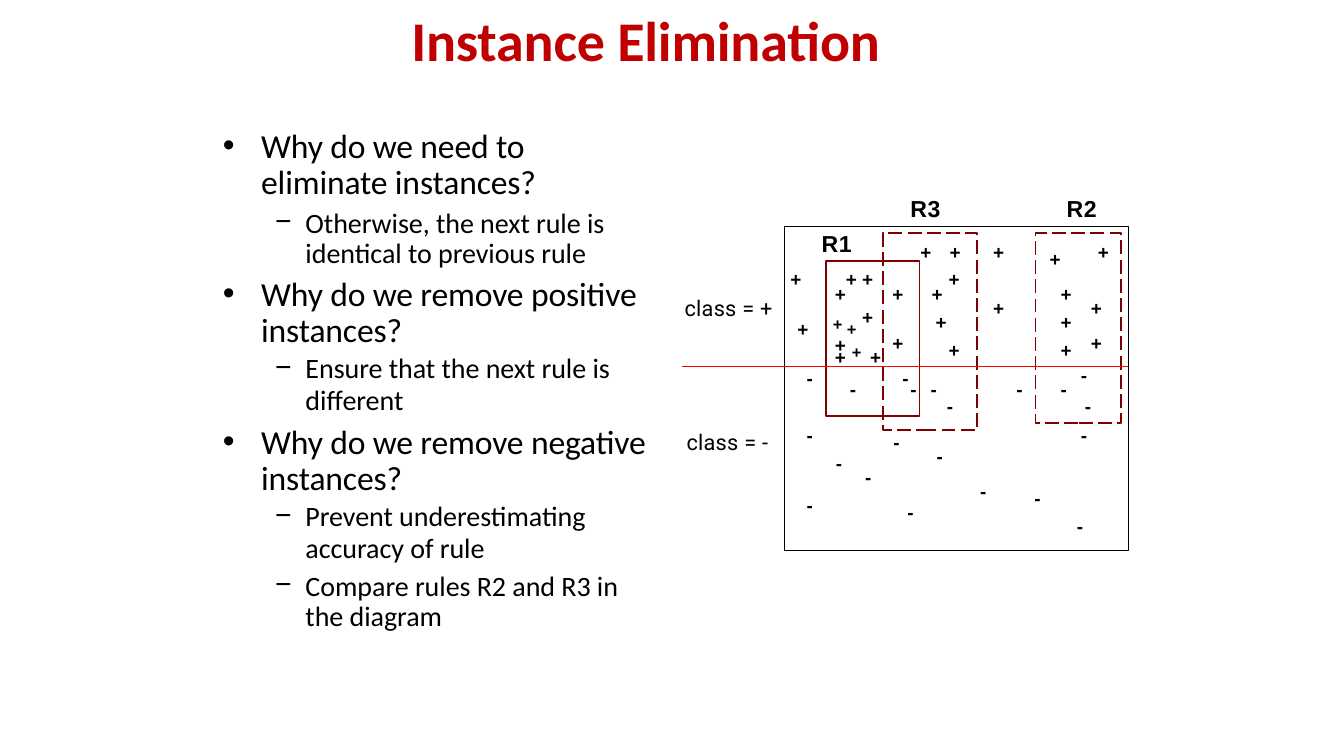
from typing import NamedTuple

from lxml.etree import SubElement
from pptx import Presentation
from pptx.dml.color import RGBColor
from pptx.enum.dml import MSO_LINE
from pptx.enum.shapes import MSO_CONNECTOR, MSO_SHAPE
from pptx.oxml.ns import qn
from pptx.util import Inches, Pt

BLACK, TITLE_RED, RULE_RED, BORDER_RED = "000000", "C00000", "800000", "FF0000"


class Format(NamedTuple):
    font: str
    size: float
    bold: bool = False
    color: str = BLACK
    spacing: float = 0


class Label(NamedTuple):
    text: str
    left: float
    top: float
    width: float
    height: float
    fmt: Format


class Box(NamedTuple):
    left: float
    top: float
    width: float
    height: float
    color: str = RULE_RED
    line_width: float = 1.25
    dashed: bool = False


class Level(NamedTuple):
    bullet: str
    bullet_font: str
    indent: float
    hanging: float
    fmt: Format


class Point(NamedTuple):
    level: int
    lines: list[str]
    line_spacing: float
    space_before: float = 0


MARK = Format("Arial", 13.5, True, spacing=0.1)
SMALL_MARK = Format("Arial", 11.7, True, spacing=0.1)
RULE_NAME = Format("Arial", 16.5, True, spacing=0.4)
CLASS_NAME = Format("Roboto", 15.5, spacing=0.2)

LABELS = [
    Label("Instance Elimination", 4.08, 0.04, 5.06, 0.69,
          Format("Calibri", 40, True, TITLE_RED, -0.1)),
    Label("class = +", 6.79, 2.91, 0.92, 0.28, CLASS_NAME),
    Label("class = -", 6.81, 4.24, 0.86, 0.28, CLASS_NAME),
    Label("R1", 8.15, 2.27, 0.33, 0.3, RULE_NAME),
    Label("R3", 9.03, 1.92, 0.33, 0.3, RULE_NAME),
    Label("R2", 10.58, 1.92, 0.33, 0.3, RULE_NAME),
]

BOXES = [
    Box(7.78, 2.24, 3.41, 3.22, BLACK, 0.25),
    Box(8.19, 2.59, 0.93, 1.54),
    Box(10.27, 2.31, 0.85, 1.89, dashed=True),
    Box(8.76, 2.31, 0.93, 1.96, dashed=True),
]

LEVELS = [
    Level("•", "Arial", 0.39, 0.38, Format("Calibri", 24, spacing=-0.1)),
    Level("–", "Roboto", 0.83, 0.31, Format("Calibri", 20, spacing=-0.05)),
]

POINTS = [
    Point(0, ["Why do we need to", "eliminate instances?"], 25.9),
    Point(1, ["Otherwise, the next rule is", "identical to previous rule"], 21.6, 5),
    Point(0, ["Why do we remove positive", "instances?"], 25.9, 5.6),
    Point(1, ["Ensure that the next rule is", "different"], 22.8, 2.3),
    Point(0, ["Why do we remove negative", "instances?"], 25.9, 5.9),
    Point(1, ["Prevent underestimating", "accuracy of rule"], 22.8, 2.3),
    Point(1, ["Compare rules R2 and R3 in", "the diagram"], 21.6, 5.1),
]

# Left and top of each instance
POSITIVES = [
    (7.84, 2.65), (7.91, 3.14), (8.28, 2.79), (8.39, 2.65), (8.55, 2.65),
    (8.55, 3.02), (8.28, 3.3), (8.28, 3.42), (8.63, 3.42), (8.85, 2.79),
    (8.85, 3.28), (9.13, 2.38), (9.42, 2.38), (9.85, 2.38), (9.24, 2.79),
    (9.28, 3.07), (9.41, 2.65), (9.41, 3.35), (9.85, 2.93), (10.41, 2.45),
    (10.52, 2.79), (10.52, 3.07), (10.52, 3.35), (10.82, 2.93),
    (10.82, 3.28), (10.89, 2.38),
]
SMALL_POSITIVES = [(8.26, 3.11), (8.4, 3.16), (8.45, 3.38)]
NEGATIVES = [
    (8, 3.63), (8, 4.19), (8, 4.89), (8.43, 3.74), (8.29, 4.47), (8.58, 4.61),
    (8.86, 4.26), (8.95, 3.63), (9.03, 3.74), (9.23, 3.74), (9.39, 3.91),
    (9, 4.96), (9.29, 4.4), (9.72, 4.75), (10.08, 3.74), (10.26, 4.82),
    (10.52, 3.74), (10.72, 3.6), (10.76, 3.91), (10.72, 4.19), (10.68, 5.1),
]


def rgb(color: str) -> RGBColor:
    return RGBColor.from_string(color)


def add_text_frame(s, left, top, width, height, inset: float, wrap: bool):
    tf = s.shapes.add_textbox(*map(Inches, (left, top, width, height))).text_frame
    frame = {"margin_left": 0, "margin_right": 0, "margin_bottom": 0,
             "margin_top": Inches(inset), "word_wrap": wrap}
    for name, value in frame.items():
        setattr(tf, name, value)
    return tf


def add_run(p, text: str, fmt: Format) -> None:
    r = p.add_run()
    r.text = text
    for name, value in {"name": fmt.font, "size": Pt(fmt.size), "bold": fmt.bold}.items():
        setattr(r.font, name, value)
    r.font.color.rgb = rgb(fmt.color)
    r._r.get_or_add_rPr().set("spc", str(round(fmt.spacing * 100)))


def add_label(s, label: Label) -> None:
    tf = add_text_frame(s, *label[1:5], inset=0.01, wrap=False)
    add_run(tf.paragraphs[0], label.text, label.fmt)


def add_box(s, box: Box) -> None:
    sp = s.shapes.add_shape(MSO_SHAPE.RECTANGLE, *map(Inches, box[:4]))
    sp.shadow.inherit = False
    sp.fill.background()
    sp.line.color.rgb = rgb(box.color)
    sp.line.width = Pt(box.line_width)
    if box.dashed:
        sp.line.dash_style = MSO_LINE.LONG_DASH


def add_class_border(s) -> None:
    """Draw the line that parts the two classes."""
    y = Inches(3.64)
    border = s.shapes.add_connector(MSO_CONNECTOR.STRAIGHT, Inches(6.76), y, Inches(11.19), y)
    border.line.color.rgb = rgb(BORDER_RED)
    border.line.width = Pt(0.69)
    SubElement(border._element.spPr, qn("a:effectLst"))


def add_points(s, points: list[Point]) -> None:
    tf = add_text_frame(s, 2.2, 1.22, 4.25, 5.13, inset=0.06, wrap=True)
    for i, point in enumerate(points):
        p = tf.add_paragraph() if i else tf.paragraphs[0]
        level = LEVELS[point.level]
        p.level = point.level
        p.line_spacing = Pt(point.line_spacing)
        p.space_before = Pt(point.space_before)
        pPr = p._p.get_or_add_pPr()
        pPr.set("marL", str(Inches(level.indent)))
        pPr.set("indent", str(-Inches(level.hanging)))
        SubElement(pPr, qn("a:buFont"), typeface=level.bullet_font)
        SubElement(pPr, qn("a:buChar"), char=level.bullet)
        for j, line in enumerate(point.lines):
            if j:
                p.add_line_break()
            add_run(p, line, level.fmt)


def main() -> None:
    prs = Presentation()
    prs.slide_width, prs.slide_height = Inches(13.33), Inches(7.5)
    s = prs.slides.add_slide(prs.slide_layouts[6])
    add_points(s, POINTS)
    for box in BOXES:
        add_box(s, box)
    add_class_border(s)
    for label in LABELS:
        add_label(s, label)
    for sign, width, fmt, places in (("+", 0.13, MARK, POSITIVES),
                                     ("+", 0.12, SMALL_MARK, SMALL_POSITIVES),
                                     ("-", 0.09, MARK, NEGATIVES)):
        for left, top in places:
            add_label(s, Label(sign, left, top, width, 0.24, fmt))
    prs.save("out.pptx")


if __name__ == "__main__":
    main()
